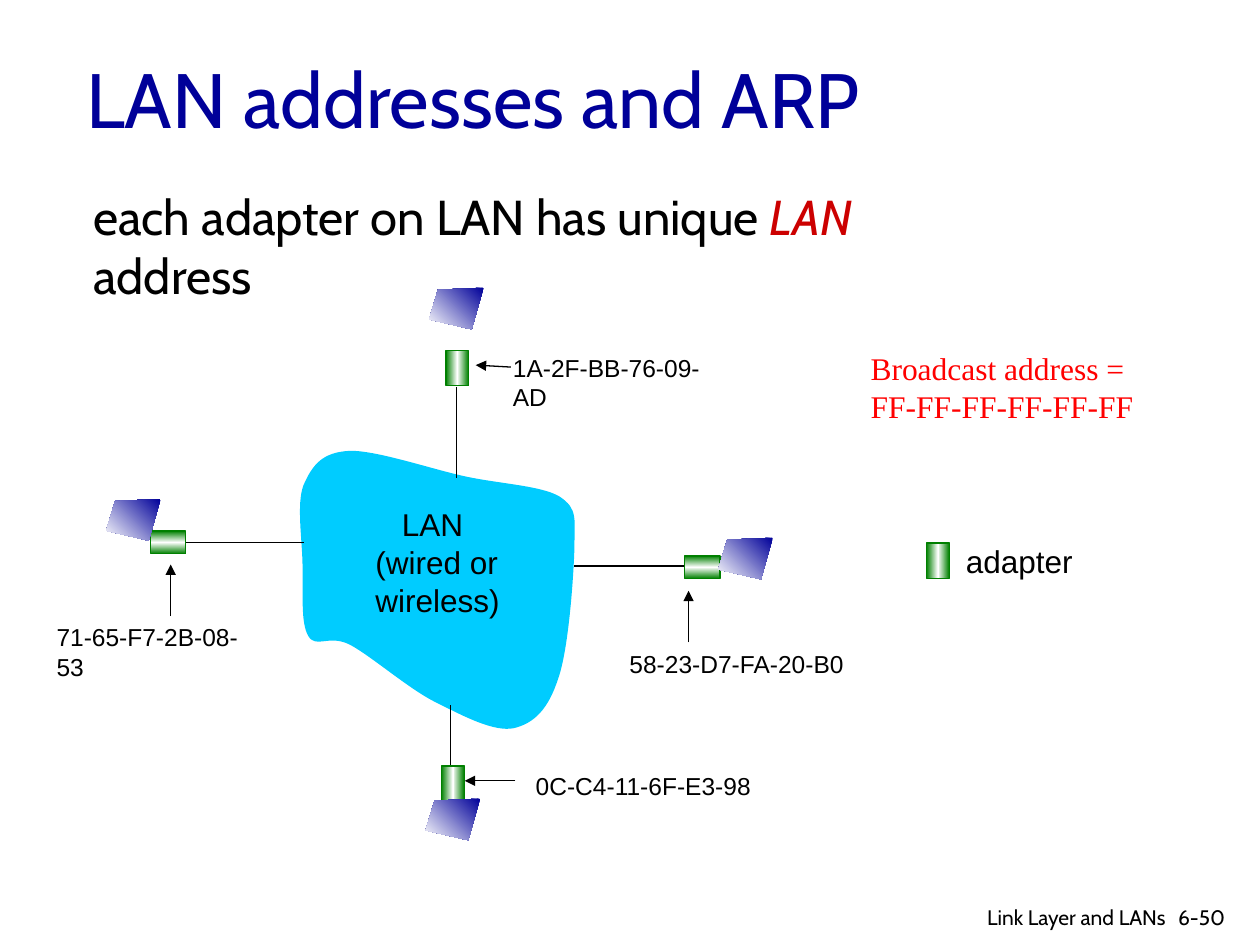
import copy
from dataclasses import dataclass

import pptx
import pptx.dml.color
import pptx.enum.shapes
import pptx.enum.text
import pptx.oxml.ns
import pptx.util
from lxml import etree

Cm = pptx.util.Cm
PP = pptx.enum.text.PP_ALIGN
MSO = pptx.enum.shapes
qn = pptx.oxml.ns.qn

BLACK, NAVY, GREEN, WHITE = "000000", "000099", "008000", "FFFFFF"
SMALL = {"name": "Arial", "size": 14, "color": BLACK}
LABEL = {**SMALL, "size": 18}
FOOTER = {"name": "Cabin", "size": 12, "color": BLACK}
TITLE = {"name": "Cabin", "size": 44, "color": NAVY}
BODY = {"name": "Cabin", "size": 28, "color": BLACK}
TERM = {**BODY, "color": "CC0000", "italic": True}
BROADCAST = {"name": "Times New Roman", "size": 18, "color": "FF0000"}


@dataclass
class Host:
    """One station on the LAN; lengths in cm."""
    address: str
    label: tuple      # left, top, width
    adapter: tuple    # left, top, rotation
    screen: tuple     # left, top
    wire: tuple       # x1, y1, x2, y2
    arrow: tuple      # x1, y1, x2, y2


HOSTS = [
    Host("71-65-F7-2B-08-53", (0.89, 12.42, 4.6), (3.16, 10.58, 270), (2.14, 10.06),
         (3.61, 10.94, 6.12, 10.94), (3.44, 12.42, 3.44, 11.38)),
    Host("0C-C4-11-6F-E3-98", (10.55, 15.42, 4.9), (8.9, 15.44, 0), (8.58, 16.1),
         (9.08, 15.42, 9.08, 14.21), (10.39, 15.74, 9.37, 15.74)),
    Host("1A-2F-BB-76-09-AD", (10.09, 6.99, 4.85), (8.99, 7.07, 0), (8.65, 5.8),
         (9.2, 7.8, 9.2, 9.63), (10.3, 7.4, 9.59, 7.36)),
    Host("58-23-D7-FA-20-B0", (12.44, 12.95, 4.9), (13.93, 11.08, 270), (14.48, 10.84),
         (13.82, 11.41, 11.58, 11.41), (13.88, 12.95, 13.88, 11.91)),
]

# Cloud outline: each curve is two control points and an end point
CLOUD_START = (7.04, 9.09)
CLOUD_CURVES = [
    (6.5, 9.12), (6.3, 9.37), (6.12, 9.78),
    (5.97, 10.16), (6.1, 10.92), (6.1, 11.43),
    (6.12, 11.94), (6.05, 12.55), (6.22, 12.83),
    (6.38, 13.08), (6.63, 12.78), (7.06, 13),
    (7.49, 13.23), (8.28, 13.92), (8.81, 14.17),
    (9.37, 14.45), (9.96, 14.76), (10.36, 14.68),
    (10.77, 14.58), (11.05, 14.3), (11.25, 13.69),
    (11.46, 13.11), (11.56, 11.68), (11.58, 11.07),
    (11.58, 10.46), (11.66, 10.26), (11.28, 10.01),
    (10.9, 9.78), (9.98, 9.75), (9.27, 9.58),
    (8.59, 9.42), (7.54, 9.07), CLOUD_START,
]
SCREEN = [(1.1, 0), (0.18, 0.04), (0, 0.64), (0.86, 0.84)]


def rgb(hex_color: str):
    return pptx.dml.color.RGBColor.from_string(hex_color)


def style(font, fmt: dict) -> None:
    for key, value in fmt.items():
        if key == "color":
            font.color.rgb = rgb(value)
        else:
            setattr(font, key, pptx.util.Pt(value) if key == "size" else value)


def add_text(s, box: tuple, paragraphs: list, align=PP.LEFT, anchor="TOP"):
    """Each paragraph is a list of (text, format) runs."""
    tf = s.shapes.add_textbox(*map(Cm, box)).text_frame
    tf.word_wrap = True
    tf.vertical_anchor = getattr(pptx.enum.text.MSO_ANCHOR, anchor)
    for i, runs in enumerate(paragraphs):
        p = tf.add_paragraph() if i else tf.paragraphs[0]
        p.alignment = align
        for text, fmt in runs:
            r = p.add_run()
            r.text = text
            style(r.font, fmt)
    return tf


def add_line(s, ends: tuple, arrow: bool = False) -> None:
    sp = s.shapes.add_connector(MSO.MSO_CONNECTOR.STRAIGHT, *map(Cm, ends))
    sp.line.color.rgb = rgb(BLACK)
    sp.line.width = pptx.util.Pt(0.75)
    if arrow:
        etree.SubElement(sp.line._get_or_add_ln(), qn("a:tailEnd"), type="triangle")
    etree.SubElement(sp._element.spPr, qn("a:effectLst"))


def set_gradient(sp, colors: list, angle: float) -> None:
    sp.fill.gradient()
    sp.fill.gradient_angle = angle
    gs_list = sp._element.spPr.find(".//" + qn("a:gsLst"))
    while len(gs_list) < len(colors):
        gs_list.append(copy.deepcopy(gs_list[0]))
    for i, (stop, color) in enumerate(zip(sp.fill.gradient_stops, colors)):
        stop.color.rgb = rgb(color)
        stop.position = i / (len(colors) - 1)


def add_outline(s, points: list):
    points = [(Cm(x), Cm(y)) for x, y in points]
    builder = s.shapes.build_freeform(*points[0])
    builder.add_line_segments(points[1:], close=True)
    sp = builder.convert_to_shape()
    sp.shadow.inherit = False
    sp.line.fill.background()
    return sp


def bend(sp) -> None:
    """Turn every three line segments into one Bezier curve."""
    segments = sp._element.spPr.findall(".//" + qn("a:lnTo"))
    for i in range(0, len(segments), 3):
        curve = etree.Element(qn("a:cubicBezTo"))
        segments[i].addprevious(curve)
        for segment in segments[i:i + 3]:
            curve.append(segment[0])
            segment.getparent().remove(segment)


def add_adapter(s, left: float, top: float, rotation: float = 0) -> None:
    sp = s.shapes.add_shape(MSO.MSO_SHAPE.RECTANGLE, *map(Cm, (left, top, 0.46, 0.71)))
    sp.shadow.inherit = False
    sp.rotation = rotation
    set_gradient(sp, [GREEN, WHITE, GREEN], 0)
    sp.line.color.rgb = rgb(GREEN)
    sp.line.width = pptx.util.Pt(0.75)


def main() -> None:
    prs = pptx.Presentation()
    prs.slide_width, prs.slide_height = Cm(25.4), Cm(19.05)
    s = prs.slides.add_slide(prs.slide_layouts[6])

    # Heading
    add_text(s, (1.49, 0.38, 21.59, 3.18), [[("LAN addresses and ARP", TITLE)]],
             anchor="MIDDLE")
    add_text(s, (1.63, 3.63, 19.1, 1.45), [[("each adapter on LAN has unique ", BODY),
                                            ("LAN", TERM), (" address", BODY)]])

    # LAN cloud
    cloud = add_outline(s, [CLOUD_START, *CLOUD_CURVES])
    bend(cloud)
    cloud.fill.solid()
    cloud.fill.fore_color.rgb = rgb("00CCFF")

    # Hosts with wires, adapters and addresses
    for host in HOSTS:
        add_line(s, host.wire)
        add_line(s, host.arrow, arrow=True)
        add_text(s, (*host.label, 0.84), [[(host.address, SMALL)]])
        add_adapter(s, *host.adapter)
        left, top = host.screen
        screen = add_outline(s, [(left + x, top + y) for x, y in SCREEN])
        set_gradient(screen, [NAVY, WHITE], 225)

    # Cloud caption, first line indented
    tf = add_text(s, (7.32, 10.06, 3.15, 2.54),
                  [[(line, LABEL)] for line in ("LAN", "(wired or", "wireless)")])
    tf.paragraphs[0]._p.get_or_add_pPr().set("marL", str(Cm(0.53)))

    # Legend and broadcast note
    add_adapter(s, 18.68, 10.95)
    add_text(s, (19.22, 10.81, 2.75, 1.02), [[("adapter", LABEL)]])
    add_text(s, (17.3, 6.91, 6, 1.8), [[("Broadcast address =", BROADCAST)],
                                       [("FF-FF-FF-FF-FF-FF", BROADCAST)]])

    # Footer
    add_text(s, (23.5, 18.11, 1.52, 0.76), [[("6-50", FOOTER)]])
    add_text(s, (17.7, 18.11, 6.05, 0.66), [[("Link Layer and LANs", FOOTER)]], PP.RIGHT)

    prs.save("out.pptx")


if __name__ == "__main__":
    main()
